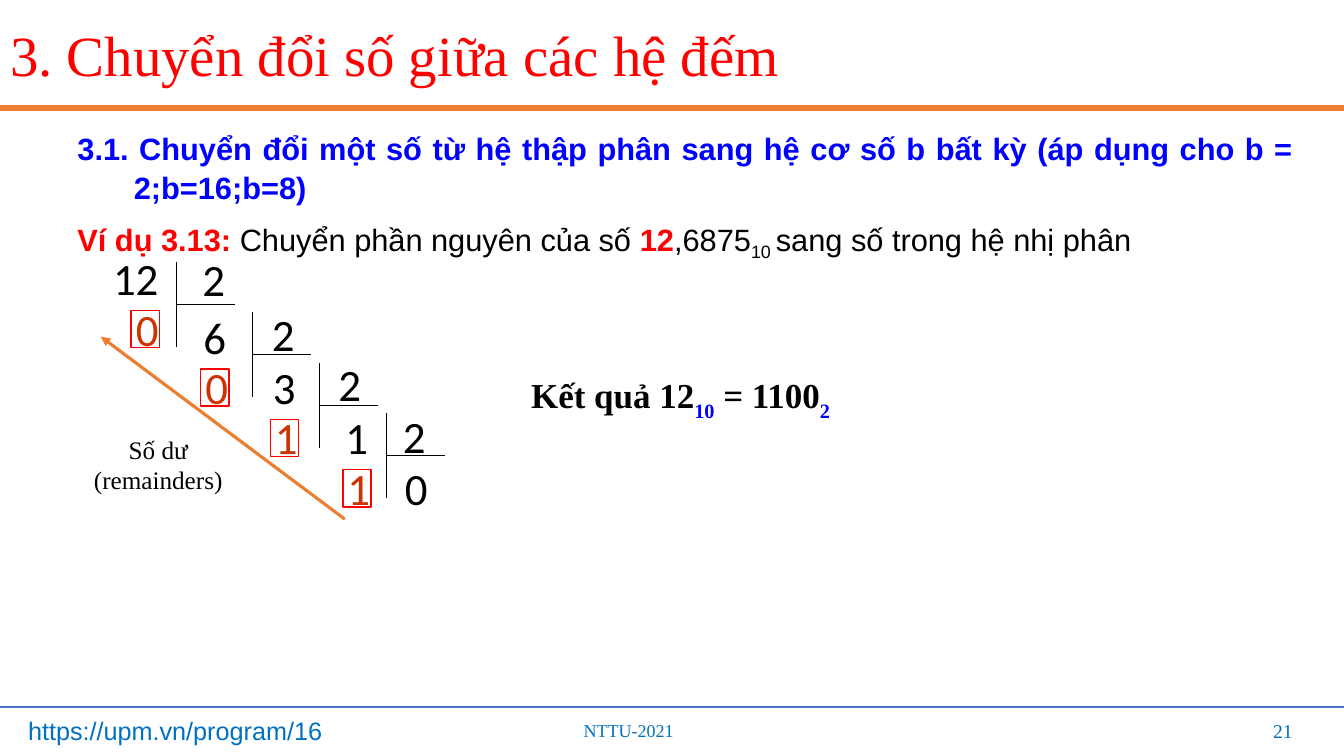
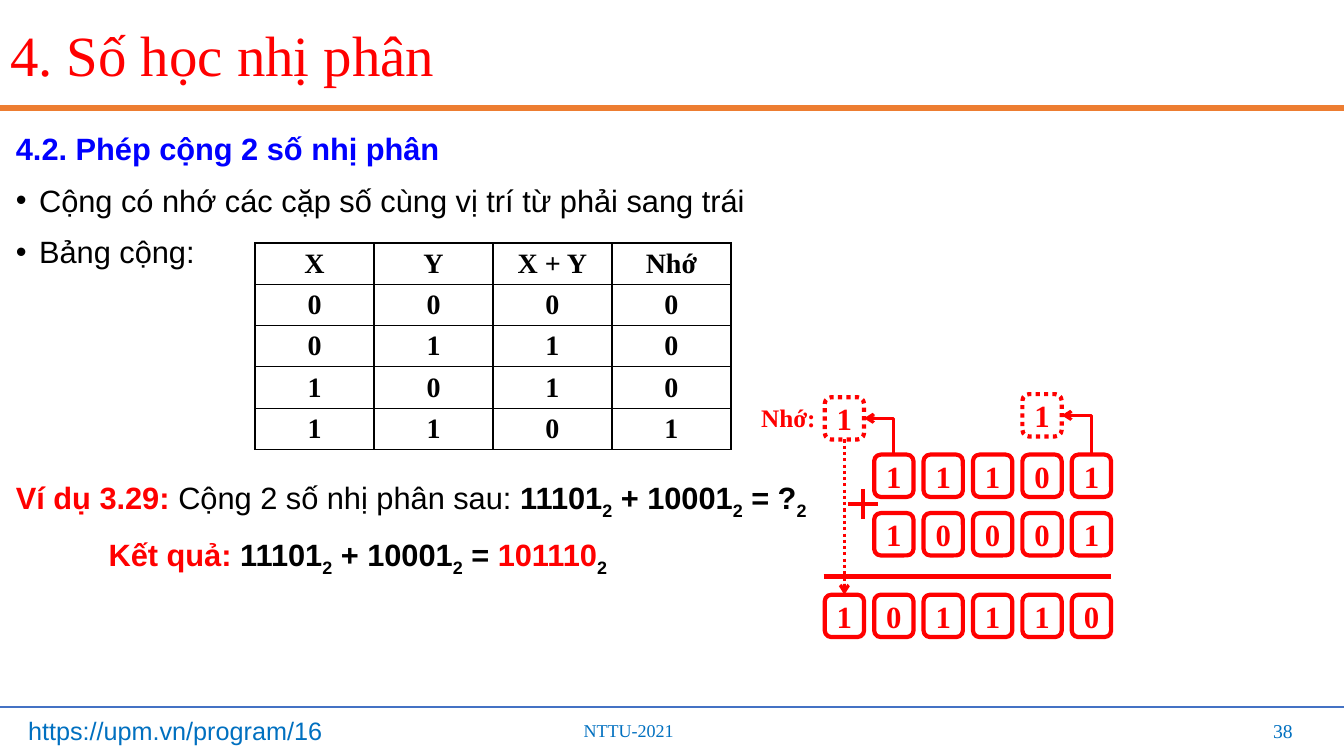
from typing import NamedTuple

from lxml import etree
from pptx import Presentation
from pptx import util as u
from pptx.dml.color import RGBColor
from pptx.enum import dml, shapes, text
from pptx.oxml.ns import qn

RED = RGBColor(0xFF, 0x00, 0x00)
BLUE = RGBColor(0x00, 0x00, 0xFF)
BLACK = RGBColor(0x00, 0x00, 0x00)
RUST = RGBColor(0xCC, 0x33, 0x00)
ORANGE = RGBColor(0xED, 0x7D, 0x31)
RULE_BLUE = RGBColor(0x44, 0x72, 0xC4)
FOOTER_BLUE = RGBColor(0x00, 0x70, 0xC0)

SERIF, SANS, DIGITS = "Times New Roman", "Arial", "Calibri"
LEFT, CENTER = text.PP_ALIGN.LEFT, text.PP_ALIGN.CENTER
RIGHT, JUSTIFY = text.PP_ALIGN.RIGHT, text.PP_ALIGN.JUSTIFY
TOP, MIDDLE = text.MSO_ANCHOR.TOP, text.MSO_ANCHOR.MIDDLE
STRAIGHT, ELBOW = shapes.MSO_CONNECTOR.STRAIGHT, shapes.MSO_CONNECTOR.ELBOW

SCALE = 9144  # EMU in one px, 100 px to the inch
WIDTH, HEIGHT = 1333, 750


class Span(NamedTuple):
    text: str
    color: RGBColor = BLACK
    bold: bool = False
    base: int = 0


class Step(NamedTuple):
    """One division; x values except corner are right edges of boxes."""
    corner: int
    divisor: tuple
    quotient: tuple
    remainder: tuple


def px(*lengths):
    return [u.Emu(length * SCALE) for length in lengths]


def style(font, name, size, color=BLACK, bold=False):
    font.name, font.size, font.bold = name, u.Pt(size), bold
    font.color.rgb = color


def add_spans(para, spans):
    for item in spans:
        span = para.add_run()
        span.text = item.text
        span.font.bold = item.bold
        span.font.color.rgb = item.color
        if item.base:
            span._r.get_or_add_rPr().set("baseline", str(item.base * 1000))


def add_box(page, left, top, width, height, anchor=TOP, wrap=True):
    frame = page.shapes.add_textbox(*px(left, top, width, height)).text_frame
    frame.word_wrap = wrap
    frame.vertical_anchor = anchor
    return frame


def add_label(page, area, content, name, size, color=BLACK, bold=False,
              align=LEFT, anchor=TOP, wrap=True):
    frame = add_box(page, *area, anchor=anchor, wrap=wrap)
    frame.text = content
    for para in frame.paragraphs:
        para.alignment = align
        style(para.font, name, size, color, bold)


def add_body(page, area, paragraphs):
    """Each paragraph is (spans, left indent, hanging px, bullet, alignment)."""
    frame = add_box(page, *area)
    for index, (spans, indent, hanging, bullet, align) in enumerate(paragraphs):
        para = frame.add_paragraph() if index else frame.paragraphs[0]
        props = para._p.get_or_add_pPr()
        props.set("marL", str(indent * SCALE))
        props.set("indent", str(-hanging * SCALE))
        if bullet:
            etree.SubElement(props, qn("a:buFont")).set("typeface", SANS)
            etree.SubElement(props, qn("a:buChar")).set("char", bullet)
        para.alignment = align
        para.line_spacing = 1.05
        if index:
            para.space_before = u.Pt(9.2)
        style(para.font, SANS, 22)
        add_spans(para, spans)


def add_line(page, start, end, color, weight, kind=STRAIGHT, dash=None,
             head=None, tail=None):
    line = page.shapes.add_connector(kind, *px(*start, *end))
    line.line.color.rgb = color
    line.line.width = u.Pt(weight)
    if dash:
        line.line.dash_style = dash
    outline = line.line._get_or_add_ln()
    for tag, arrow in (("a:headEnd", head), ("a:tailEnd", tail)):
        if arrow:
            etree.SubElement(outline, qn(tag)).set("type", arrow)
    etree.SubElement(line._element.spPr, qn("a:effectLst"))
    return line


def add_outline(page, kind, area, weight, dash=None):
    shape = page.shapes.add_shape(kind, *px(*area))
    shape.shadow.inherit = False
    shape.fill.background()
    shape.line.color.rgb = RED
    shape.line.width = u.Pt(weight)
    if dash:
        shape.line.dash_style = dash
    return shape


def add_page(deck, heading, number):
    page = deck.slides.add_slide(deck.slide_layouts[5])
    title = page.shapes.title
    title.left, title.top, title.width, title.height = px(0, 3, WIDTH, 110)
    frame = title.text_frame
    frame.text = heading
    frame.auto_size = text.MSO_AUTO_SIZE.NONE
    frame.vertical_anchor = MIDDLE
    para = frame.paragraphs[0]
    para.alignment = LEFT
    para.line_spacing = 0.9
    style(para.font, SERIF, 40.6, RED)

    add_line(page, (0, 107), (WIDTH, 107), ORANGE, 4.5)
    add_line(page, (0, 701), (WIDTH, 701), RULE_BLUE, 1.5)
    add_label(page, (569, 709, 178, 32), "NTTU-2021", SERIF, 12.9, FOOTER_BLUE)
    add_label(page, (18, 705, 343, 40), "https://upm.vn/program/16", SANS, 18,
              FOOTER_BLUE)
    add_label(page, (992, 705, 300, 40), str(number), SERIF, 14, FOOTER_BLUE,
              align=RIGHT, anchor=MIDDLE)
    return page


def add_division(page, left, top):
    """Staircase of divisions by two, with the remainders framed."""
    steps = [
        Step(75, (133, 5), ("6", 134), ("0", 67, 54)),
        Step(150, (202, 59), ("3", 203), ("0", 136, 112)),
        Step(217, (268, 109), ("1", 275), ("1", 205, 162)),
        Step(283, (332, 161), ("0", 334), ("1", 277, 212)),
    ]

    def add_number(content, right, y, color=BLACK):
        add_label(page, (left + right - 75, top + y, 75, 63), content, DIGITS,
                  32, color, align=RIGHT)

    add_number("12", 67, 4)
    for index, step in enumerate(steps):
        x, y = left + step.corner, top + 20 + 50 * index
        add_line(page, (x, y), (x, y + 84), BLACK, 0.75)
        add_line(page, (x, y + 42), (x + 58, y + 42), BLACK, 0.75)
        add_number("2", *step.divisor)
        add_number(*step.quotient, 62 + 50 * index)
        add_number(*step.remainder, RUST)
        _, right, rest_top = step.remainder
        add_outline(page, shapes.MSO_SHAPE.RECTANGLE,
                    (left + right - 37, top + rest_top + 14, 28, 37), 1)
    add_line(page, (left + 242, top + 275), (left, top + 94), ORANGE, 2.25,
             tail="triangle")
    add_label(page, (left - 19, top + 186, 152, 71), "Số dư\n(remainders)",
              SERIF, 18, align=CENTER)


def add_truth_table(page, left, top):
    rows = ["X", "Y", "X + Y", "Nhớ"], "0000", "0110", "1010", "1101"
    columns = len(rows[0])
    table = page.shapes.add_table(
        len(rows), columns, *px(left, top, 118 * columns, 41 * len(rows))).table
    table.first_row = table.horz_banding = False
    for row_index, row in enumerate(rows):
        for column_index, content in enumerate(row):
            cell = table.cell(row_index, column_index)
            cell.text = content
            cell.vertical_anchor = MIDDLE
            cell.margin_top = cell.margin_bottom = px(3)[0]
            para = cell.text_frame.paragraphs[0]
            para.alignment = CENTER
            style(para.font, SERIF, 20, bold=True)
            props = cell._tc.get_or_add_tcPr()
            for side in ("a:lnL", "a:lnR", "a:lnT", "a:lnB"):
                border = etree.SubElement(props, qn(side), w=str(u.Pt(1)))
                fill = etree.SubElement(border, qn("a:solidFill"))
                etree.SubElement(fill, qn("a:srgbClr"), val=str(BLACK))
            cell.fill.background()


def add_addition(page, left, top):
    """Column addition of two binary numbers with its carries."""
    dotted = dml.MSO_LINE.ROUND_DOT

    def add_digit(content, column, y, dash=None):
        shape = add_outline(page, shapes.MSO_SHAPE.ROUNDED_RECTANGLE,
                            (left + 73 + 49 * column, top + y, 39, 42), 3, dash)
        frame = shape.text_frame
        frame.margin_left = frame.margin_right = 0
        frame.margin_top = frame.margin_bottom = 0
        frame.vertical_anchor = MIDDLE
        frame.text = content
        frame.paragraphs[0].alignment = CENTER
        style(frame.paragraphs[0].font, SERIF, 22, RED, True)
        return shape

    def add_row(digits, first_column, y):
        return [add_digit(digit, column, y)
                for column, digit in enumerate(digits, first_column)]

    add_label(page, (left, top + 4, 75, 40), "Nhớ:", SERIF, 18, RED, True,
              wrap=False)
    addend = add_row("11101", 1, 61)
    add_row("10001", 1, 119)
    total = add_row("101110", 0, 200)
    add_line(page, (left + 72, top + 182), (left + 357, top + 182), RED, 3)

    carries = [add_digit("1", column, y, dotted) for column, y in ((0, 4), (4, 1))]
    for carry, source in zip(carries, (addend[0], addend[-1])):
        bend = add_line(page, (0, 0), (1, 1), RED, 2.25, ELBOW, head="arrow")
        bend._element.spPr.find(qn("a:prstGeom")).set("prst", "bentConnector2")
        bend.begin_connect(carry, 3)
        bend.end_connect(source, 0)
    drop = add_line(page, (0, 0), (1, 1), RED, 2.25, dash=dotted, tail="arrow")
    drop.begin_connect(carries[0], 2)
    drop.end_connect(total[0], 0)

    x, y = left + 111, top + 110
    add_line(page, (x - 15, y), (x + 15, y), RED, 3)
    add_line(page, (x, y - 15), (x, y + 15), RED, 3)


def sum_spans(result):
    """The sum of the two numbers, up to the spans of its result."""
    parts = (("11101", 0), ("2", -25), (" + 10001", 0), ("2", -25))
    return [Span(part, BLACK, True, base) for part, base in parts] + result


def add_conversion_slide(deck):
    page = add_page(deck, "3. Chuyển đổi số giữa các hệ đếm", 21)
    heading = ("3.1. Chuyển đổi một số từ hệ thập phân sang hệ cơ số b bất kỳ "
               "(áp dụng cho b = 2;b=16;b=8)")
    example = [
        Span("Ví dụ 3.13: ", RED, True), Span("Chuyển phần nguyên của số "),
        Span("12", RED, True), Span(",6875"), Span("10 ", base=-25),
        Span("sang số trong hệ nhị phân"),
    ]
    add_body(page, (67, 122, 1226, 140), [
        ([Span(heading, BLUE, True)], 56, 56, None, JUSTIFY),
        (example, 0, 0, None, LEFT),
    ])
    add_division(page, 100, 240)
    para = add_box(page, 517, 369, 400, 52, MIDDLE).paragraphs[0]
    style(para.font, SERIF, 25, bold=True)
    add_spans(para, [
        Span("Kết quả 12", BLACK, True), Span("10", BLUE, True, -30),
        Span(" = 1100", BLACK, True), Span("2", BLUE, True, -30),
    ])


def add_arithmetic_slide(deck):
    page = add_page(deck, "4. Số học nhị phân", 38)
    add_body(page, (6, 122, 1287, 150), [
        ([Span("4.2. Phép cộng 2 số nhị phân", BLUE, True)], 56, 56, None, JUSTIFY),
        ([Span("Cộng có nhớ các cặp số cùng vị trí từ phải sang trái")],
         23, 23, "•", LEFT),
        ([Span("Bảng cộng:")], 23, 23, "•", LEFT),
    ])
    question = sum_spans([Span(" = ?", BLACK, True), Span("2", BLACK, True, -25)])
    answer = sum_spans([Span(" = ", BLACK, True), Span("101110", RED, True),
                        Span("2", BLACK, True, -25)])
    add_body(page, (6, 468, 830, 120), [
        ([Span("Ví dụ 3.29: ", RED, True), Span("Cộng 2 số nhị phân sau: ")]
         + question, 0, 0, None, LEFT),
        ([Span("Kết quả: ", RED, True)] + answer, 92, 0, None, LEFT),
    ])
    add_truth_table(page, 253, 241)
    add_addition(page, 745, 390)


def main():
    deck = Presentation()
    deck.slide_width, deck.slide_height = px(WIDTH, HEIGHT)
    add_conversion_slide(deck)
    add_arithmetic_slide(deck)
    deck.save("out.pptx")


if __name__ == "__main__":
    main()
